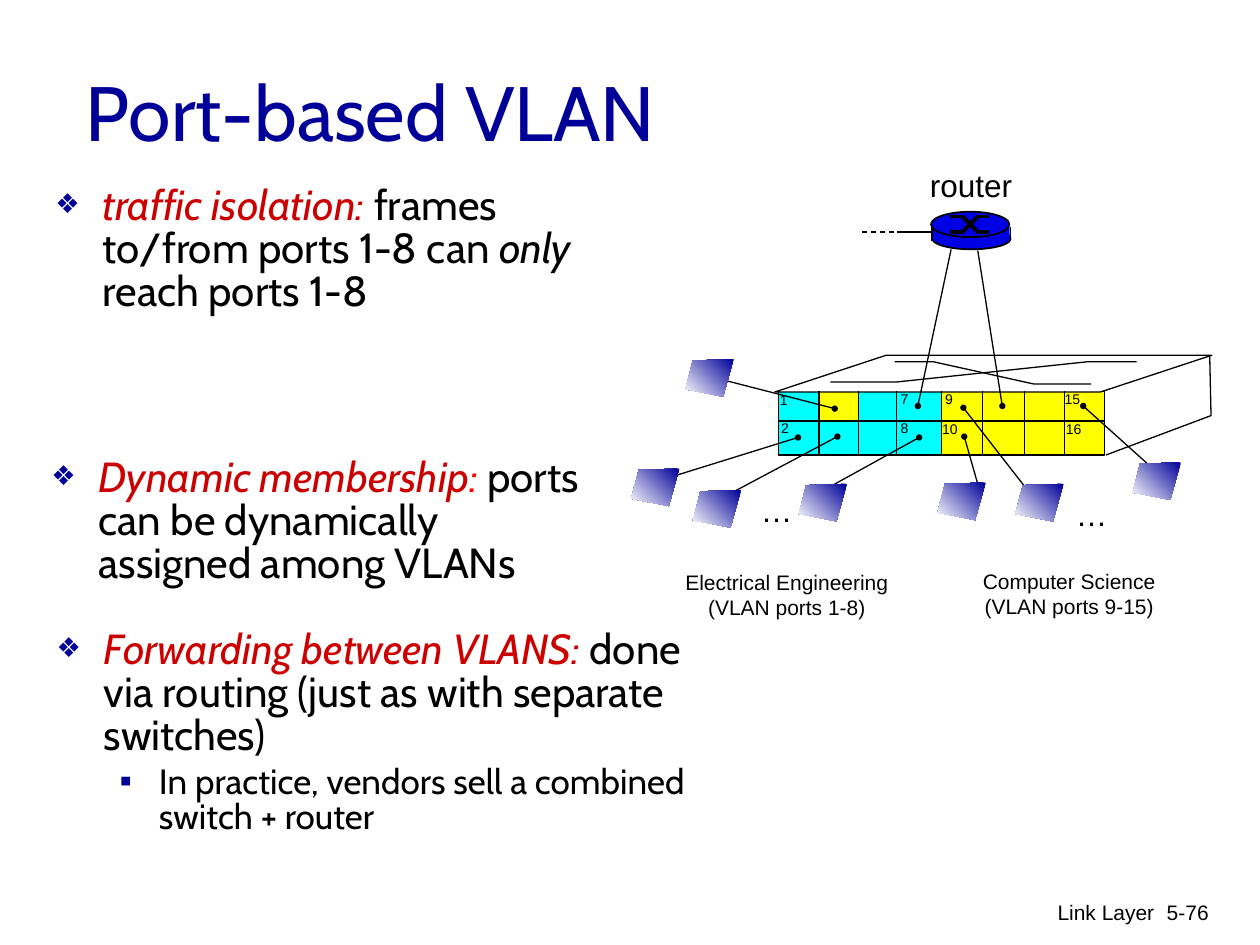
"""Build the slide on port-based VLANs with a switch, a router and attached hosts."""
from dataclasses import dataclass
from typing import Optional

from pptx import Presentation
from pptx.dml.color import RGBColor
from pptx.enum.dml import MSO_LINE
from pptx.enum.shapes import MSO_CONNECTOR, MSO_SHAPE
from pptx.enum.text import MSO_ANCHOR, MSO_AUTO_SIZE, PP_ALIGN
from pptx.oxml.ns import qn
from pptx.util import Pt
from lxml.etree import SubElement

COLORS = {"navy": "000099", "red": "CC0000", "bright_red": "FF0000", "black": "000000",
          "white": "FFFFFF", "cyan": "00FFFF", "yellow": "FFFF00", "blue": "0000E5"}
COLUMNS = (445, 468, 490.5, 512.5, 538, 561.5, 585.5, 608.5, 631)
FACE_TOP, FACE_MIDDLE, FACE_BOTTOM = 223.5, 240.5, 260
DOT = 3.6
SCREEN_OUTLINE = ((27.5, 0), (4.25, 0.75), (0, 17.25), (21.5, 21.5))
SCREENS = ((360.75, 267.75), (396, 280), (456.5, 276.5), (535.75, 275.75),
           (580.25, 276.5), (647.25, 264.25), (391.75, 205.25))


@dataclass
class Label:
    text: str
    left: float
    top: float
    width: float
    height: float
    size: float
    align: PP_ALIGN = PP_ALIGN.LEFT
    wrap: bool = False


@dataclass
class Cable:
    port_x: float
    port_y: float
    far_x: float
    far_y: float


@dataclass
class Phrase:
    text: str
    color: str = "black"
    italic: bool = False


@dataclass
class Bullet:
    phrases: list[Phrase]
    level: int = 0


PORT_NUMBERS = [Label(text, left, top, 18.75 if len(text) == 1 else 23.75, 16.5, 8)
                for text, left, top in (
                    ("1", 438.5, 220.25), ("7", 507.5, 219.5), ("9", 533, 219.5),
                    ("15", 601.25, 219.5), ("2", 439.25, 236.25), ("8", 507.5, 236.25),
                    ("10", 531.25, 237), ("16", 602, 237))]
LABELS = PORT_NUMBERS + [
    Label("…", 427.75, 277.25, 32.5, 28.75, 18),
    Label("…", 607.75, 279.25, 32.5, 28.75, 18),
    Label("router", 524.25, 91.5, 62, 28.75, 18),
    Label("Electrical Engineering\n(VLAN ports 1-8)", 384.5, 321.75, 130.25, 36, 12,
          PP_ALIGN.CENTER, True),
    Label("Computer Science\n(VLAN ports 9-15)", 554.5, 321.25, 113, 36, 12, PP_ALIGN.CENTER),
    Label("Link Layer", 438.5, 510.5, 228.25, 36, 12, PP_ALIGN.RIGHT, True),
    Label("5-76", 644.5, 510.5, 53.25, 36, 12, PP_ALIGN.RIGHT, True),
]
CABLES = (
    Cable(456, 250, 385.25, 272), Cable(478.5, 249.5, 415.5, 283),
    Cable(525.25, 250, 472.25, 279.25), Cable(551, 249.5, 559.5, 279.25),
    Cable(550.5, 233, 588.25, 281.5), Cable(619, 232, 658.75, 267.75),
    Cable(524.5, 232, 543.5, 142.5), Cable(572.75, 232, 558.75, 143.25),
    Cable(477, 233.5, 414.75, 217.5),
)
ISOLATION = [Bullet([Phrase("traffic isolation: ", "red", True),
                     Phrase("frames to/from ports 1-8 can "), Phrase("only", italic=True),
                     Phrase(" reach ports 1-8")])]
MEMBERSHIP = [Bullet([Phrase("Dynamic membership", "red", True),
                      Phrase(":", "bright_red", True),
                      Phrase(" ports can be dynamically assigned among VLANs")])]
FORWARDING = [Bullet([Phrase("Forwarding between VLANS: ", "red", True),
                      Phrase("done via routing (just as with separate switches)")]),
              Bullet([Phrase("In practice, vendors sell a combined switch + router")], 1)]


def rgb(name: str) -> RGBColor:
    return RGBColor.from_string(COLORS[name])


def place(shape, left: float, top: float, width: float, height: float) -> None:
    shape.left, shape.top, shape.width, shape.height = map(Pt, (left, top, width, height))


def style(shape, fill: Optional[str], line: float = 0) -> None:
    shape.shadow.inherit = False
    if fill:
        shape.fill.solid()
        shape.fill.fore_color.rgb = rgb(fill)
    else:
        shape.fill.background()
    if line:
        shape.line.color.rgb = rgb("black")
        shape.line.width = Pt(line)
    else:
        shape.line.fill.background()


def add_preset(shapes, kind: MSO_SHAPE, left: float, top: float, width: float, height: float,
               fill: Optional[str], line: float = 0):
    shape = shapes.add_shape(kind, *map(Pt, (left, top, width, height)))
    style(shape, fill, line)
    return shape


def add_line(shapes, x1: float, y1: float, x2: float, y2: float, width: float = 0.75):
    connector = shapes.add_connector(MSO_CONNECTOR.STRAIGHT, *map(Pt, (x1, y1, x2, y2)))
    connector.line.color.rgb = rgb("black")
    connector.line.width = Pt(width)
    SubElement(connector._element.spPr, qn("a:effectLst"))
    return connector


def add_outline(shapes, points, closed: bool = False, line: float = 0.75):
    start, *rest = [(Pt(x), Pt(y)) for x, y in points]
    builder = shapes.build_freeform(*start)
    builder.add_line_segments(rest, close=closed)
    shape = builder.convert_to_shape()
    style(shape, None, line)
    return shape


def add_label(shapes, label: Label) -> None:
    shape = shapes.add_textbox(*map(Pt, (label.left, label.top, label.width, label.height)))
    text_frame = shape.text_frame
    text_frame.text = label.text
    text_frame.word_wrap = label.wrap
    for paragraph in text_frame.paragraphs:
        paragraph.alignment = label.align
        for run in paragraph.runs:
            run.font.name, run.font.size = "Arial", Pt(label.size)
            run.font.color.rgb = rgb("black")


def fill_bullets(text_frame, bullets: list[Bullet]) -> None:
    text_frame.word_wrap = True
    text_frame.auto_size = MSO_AUTO_SIZE.NONE
    for index, bullet in enumerate(bullets):
        paragraph = text_frame.add_paragraph() if index else text_frame.paragraphs[0]
        margin, indent, mark, scale, size = ((58.5, -22.5, "▪", 100, 20) if bullet.level
                                             else (27, -27, "❖", 65, 24))
        paragraph.level = bullet.level
        properties = paragraph._p.get_or_add_pPr()
        properties.set("marL", str(Pt(margin)))
        properties.set("indent", str(Pt(indent)))
        color = SubElement(properties, qn("a:buClr"))
        SubElement(color, qn("a:srgbClr"), val=COLORS["navy"])
        SubElement(properties, qn("a:buSzPct"), val=str(scale * 1000))
        SubElement(properties, qn("a:buFont"), typeface="Arial")
        SubElement(properties, qn("a:buChar"), char=mark)
        paragraph.line_spacing = 0.85
        paragraph.space_before = Pt(0.2 * size if index else 0)
        for phrase in bullet.phrases:
            run = paragraph.add_run()
            run.text = phrase.text
            run.font.name, run.font.size = "Cabin", Pt(size)
            run.font.italic = phrase.italic
            run.font.color.rgb = rgb(phrase.color)


def add_switch(shapes) -> None:
    left, second, third, middle, right = *COLUMNS[:3], COLUMNS[4], COLUMNS[-1]
    height = FACE_BOTTOM - FACE_TOP
    for x1, x2, depth, color in ((left, middle, height, "cyan"), (middle, right, height, "yellow"),
                                 (second, third, FACE_MIDDLE - FACE_TOP, "yellow")):
        add_preset(shapes, MSO_SHAPE.RECTANGLE, x1, FACE_TOP, x2 - x1, depth, color)
    add_preset(shapes, MSO_SHAPE.RECTANGLE, left, FACE_TOP, right - left, height, None, 0.75)
    add_line(shapes, left, FACE_MIDDLE, right, FACE_MIDDLE)
    lid = add_preset(shapes, MSO_SHAPE.PARALLELOGRAM, 442.75, 203, 249.75, 21, "white", 0.75)
    lid.adjustments[0] = 3.03
    for points in (((632, 260), (692, 237.5), (691.25, 203)),
                   ((474.5, 218.25), (512.75, 218.25), (621.25, 206.75), (649.5, 206.75)),
                   ((511.25, 206.75), (533.5, 206.75), (591, 219.5), (623.5, 219.5))):
        add_outline(shapes, points)
    for x in COLUMNS[:-1]:
        add_line(shapes, x, FACE_TOP, x, FACE_BOTTOM)


def add_router(shapes) -> None:
    add_preset(shapes, MSO_SHAPE.OVAL, 532.75, 130.25, 44.75, 12.25, "blue", 1)
    add_preset(shapes, MSO_SHAPE.RECTANGLE, 532.75, 129.5, 44.25, 8, "blue")
    for x in (532.75, 577.5):
        add_line(shapes, x, 129.5, x, 137.5, 1)
    add_preset(shapes, MSO_SHAPE.OVAL, 532, 121, 44.75, 14.5, "blue", 1)
    for y, opposite in ((123.75, 132.5), (132.5, 123.75)):
        add_line(shapes, 543, y, 550.75, y, 2.25)
        add_line(shapes, 558, y, 565.25, y, 2.25)
        add_line(shapes, 550, y, 558.75, opposite, 2.25)
    add_line(shapes, 512.5, 132.5, 532.75, 132.5)
    add_line(shapes, 492.5, 132.5, 512, 132.5).line.dash_style = MSO_LINE.DASH


def add_screen(shapes, left: float, top: float) -> None:
    shape = add_outline(shapes, [(left + x, top + y) for x, y in SCREEN_OUTLINE], True, 0)
    shape.fill.gradient()
    shape.fill.gradient_angle = 225
    for stop, color in zip(shape.fill.gradient_stops, ("navy", "white")):
        stop.color.rgb = rgb(color)


def main() -> None:
    presentation = Presentation()
    presentation.slide_width, presentation.slide_height = Pt(720), Pt(540)
    slide = presentation.slides.add_slide(presentation.slide_layouts[1])
    shapes = slide.shapes

    title, body = shapes.title, slide.placeholders[1]
    place(title, 41.75, 18, 612, 90)
    title.text_frame.text = "Port-based VLAN"
    title.text_frame.vertical_anchor = MSO_ANCHOR.MIDDLE
    title.text_frame.auto_size = MSO_AUTO_SIZE.NONE
    paragraph = title.text_frame.paragraphs[0]
    paragraph.alignment = PP_ALIGN.LEFT
    font = paragraph.runs[0].font
    font.name, font.size, font.color.rgb = "Cabin", Pt(44), rgb("navy")

    place(body, 24.5, 103, 334.75, 139)
    fill_bullets(body.text_frame, ISOLATION)
    for bullets, box in ((MEMBERSHIP, (22.25, 258.5, 319.75, 126.75)),
                         (FORWARDING, (25.25, 356.5, 393.75, 126.75))):
        fill_bullets(shapes.add_textbox(*map(Pt, box)).text_frame, bullets)

    add_switch(shapes)
    for cable in CABLES:
        add_line(shapes, cable.port_x, cable.port_y, cable.far_x, cable.far_y)
        add_preset(shapes, MSO_SHAPE.OVAL, cable.port_x - DOT / 2, cable.port_y - DOT / 2,
                   DOT, DOT, "black")
    add_router(shapes)
    for left, top in SCREENS:
        add_screen(shapes, left, top)
    for label in LABELS:
        add_label(shapes, label)
    presentation.save("out.pptx")


if __name__ == "__main__":
    main()
